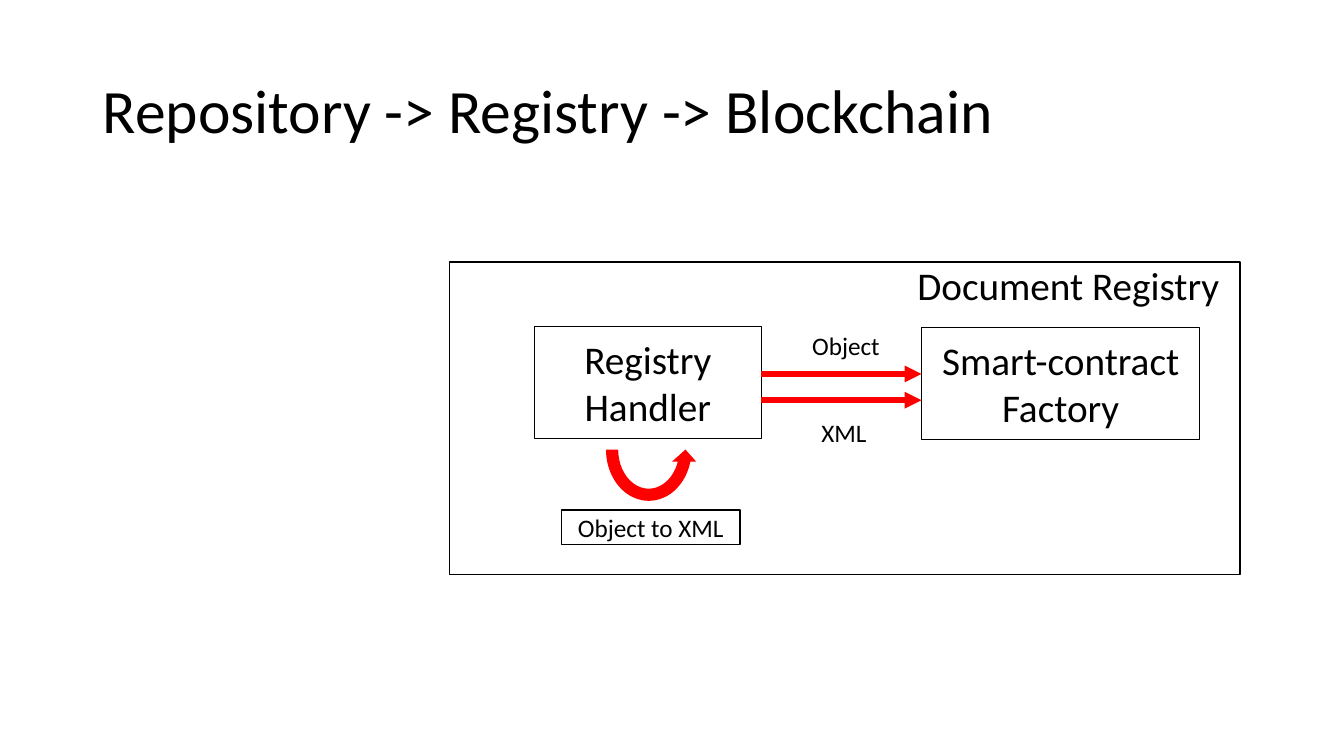
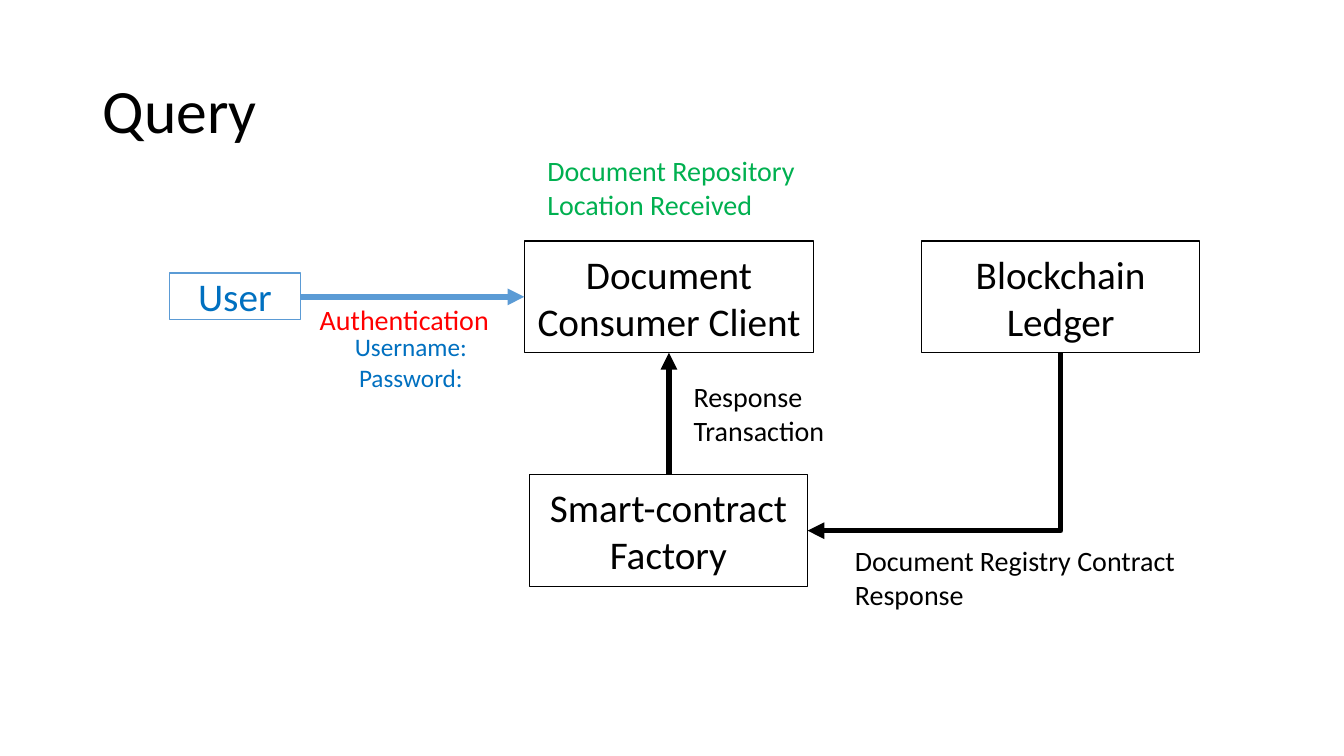
from dataclasses import dataclass

from lxml.etree import SubElement
from pptx import Presentation
from pptx.dml.color import RGBColor
from pptx.enum.shapes import MSO_CONNECTOR as Link, MSO_SHAPE as Preset
from pptx.enum.text import MSO_ANCHOR as Anchor, MSO_AUTO_SIZE as AutoSize, PP_ALIGN as Align
from pptx.oxml.ns import qn
from pptx.util import Inches, Pt

FONT = "Calibri"
BLACK, WHITE, RED, GREEN = "000000", "FFFFFF", "FF0000", "00B050"
BLUE, TEXT_BLUE = "5B9BD5", "0070C0"
BODY, NOTE, SMALL = 28, 20, 18
NODE_WIDTH, NODE_HEIGHT = 2.76, 1.11
TITLE_ONLY = 5


@dataclass
class Box:
    left: float
    top: float
    width: float
    height: float

    def inside(self, left, top, width, height):
        return Box(self.left + left, self.top + top, width, height)

    def lengths(self):
        return [Inches(n) for n in (self.left, self.top, self.width, self.height)]

    @property
    def right(self):
        return self.left + self.width

    @property
    def bottom(self):
        return self.top + self.height

    @property
    def center(self):
        return self.left + self.width / 2

    @property
    def middle(self):
        return self.top + self.height / 2


def colour(value):
    return RGBColor.from_string(value)


def write(frame, text, size=BODY, color=BLACK, align=Align.CENTER, spacing=1.0):
    frame.word_wrap = True
    frame.auto_size = AutoSize.NONE
    frame.vertical_anchor = Anchor.MIDDLE
    for number, line in enumerate(text.split("\n")):
        para = frame.add_paragraph() if number else frame.paragraphs[0]
        para.alignment = align
        para.line_spacing = spacing
        span = para.add_run()
        span.text = line
        span.font.name = FONT
        span.font.size = Pt(size)
        span.font.color.rgb = colour(color)


def add_preset(page, box, preset=Preset.RECTANGLE, fill=None, line=None):
    shape = page.shapes.add_shape(preset, *box.lengths())
    shape.shadow.inherit = False
    if fill:
        shape.fill.solid()
        shape.fill.fore_color.rgb = colour(fill)
    else:
        shape.fill.background()
    if line:
        shape.line.color.rgb = colour(line)
        shape.line.width = Pt(1)
    else:
        shape.line.fill.background()
    return shape


def add_node(page, box, text, fill=None, line=BLACK, **style):
    write(add_preset(page, box, fill=fill, line=line).text_frame, text, **style)
    return box


def add_label(page, box, text, **style):
    write(page.shapes.add_textbox(*box.lengths()).text_frame, text, **style)


def add_arrow(page, start, end, color=BLACK, kind=Link.STRAIGHT, arrowhead="tailEnd"):
    arrow = page.shapes.add_connector(kind, *[Inches(n) for n in (*start, *end)])
    arrow.line.color.rgb = colour(color)
    arrow.line.width = Pt(4)
    properties = arrow.element.spPr
    SubElement(properties.find(qn("a:ln")), qn("a:" + arrowhead), type="triangle")
    SubElement(properties, qn("a:effectLst"))
    return arrow


def add_page(deck, title):
    page = deck.slides.add_slide(deck.slide_layouts[TITLE_ONLY])
    heading = page.shapes.title
    area = Box(0.92, 0.4, 11.5, 1.45).lengths()
    heading.left, heading.top, heading.width, heading.height = area
    write(heading.text_frame, title, size=44, align=Align.LEFT, spacing=0.9)
    return page


def draw_registry(page, area):
    add_preset(page, area, line=BLACK)
    add_label(page, area.inside(4.44, 0, 3.39, 0.46), "Document Registry")
    handler = add_node(page, area.inside(0.84, 0.64, 2.25, NODE_HEIGHT), "Registry Handler")
    factory = add_node(page, area.inside(4.68, 0.65, NODE_WIDTH, NODE_HEIGHT),
                       "Smart-contract\nFactory")
    loop = add_preset(page, area.inside(1.49, 1.29, 0.97, 1.14), Preset.CIRCULAR_ARROW, fill=RED)
    loop.element.spPr.find(qn("a:xfrm")).set("flipV", "1")
    add_node(page, area.inside(1.11, 2.46, 1.77, 0.34), "Object to XML", fill=WHITE, size=SMALL)
    for offset in (1.11, 1.37):
        height = area.top + offset
        add_arrow(page, (handler.right, height), (factory.left, height), color=RED)
    for text, left, top in (("Object", 3.39, 0.66), ("XML", 3.37, 1.52)):
        add_label(page, area.inside(left, top, 1.08, 0.34), text, size=SMALL)


def draw_query(page, area):
    user = add_node(page, area.inside(0, 1.36, 1.3, 0.46), "User", line=BLUE, color=TEXT_BLUE)
    client = add_node(page, area.inside(3.52, 1.04, 2.87, NODE_HEIGHT), "Document Consumer Client")
    ledger = add_node(page, area.inside(7.46, 1.04, NODE_WIDTH, NODE_HEIGHT), "Blockchain\nLedger")
    factory = add_node(page, area.inside(3.57, 3.36, NODE_WIDTH, NODE_HEIGHT),
                       "Smart-contract\nFactory")

    add_arrow(page, (user.right, client.middle), (client.left, client.middle), color=BLUE)
    add_arrow(page, (client.center, factory.top), (client.center, client.bottom))
    bend = add_arrow(page, (factory.right, factory.middle), (ledger.center, ledger.bottom),
                     kind=Link.ELBOW, arrowhead="headEnd")
    bend.element.spPr.find(qn("a:prstGeom")).set("prst", "bentConnector2")

    add_label(page, area.inside(1.31, 1.54, 2.04, 0.55), "Authentication", size=NOTE, color=RED)
    add_label(page, area.inside(1.71, 1.75, 1.37, 0.98), "Username:\nPassword:",
              size=SMALL, color=TEXT_BLUE)
    for text, place, color in (
        ("Response\nTransaction", (5.1, 2.24, 2.25, 1.02), BLACK),
        ("Document Registry Contract\nResponse", (6.7, 4.01, 3.52, 0.73), BLACK),
        ("Document Repository Location Received", (3.65, 0, 2.9, 1.02), GREEN),
    ):
        add_label(page, area.inside(*place), text, size=NOTE, color=color, align=Align.LEFT)


def main():
    deck = Presentation()
    deck.slide_width, deck.slide_height = Inches(13.33), Inches(7.5)
    draw_registry(add_page(deck, "Repository -> Registry -> Blockchain"),
                  Box(4.46, 2.6, 7.84, 3.1))
    draw_query(add_page(deck, "Query"), Box(1.68, 1.35, 10.22, 4.74))
    deck.save("out.pptx")


if __name__ == "__main__":
    main()
